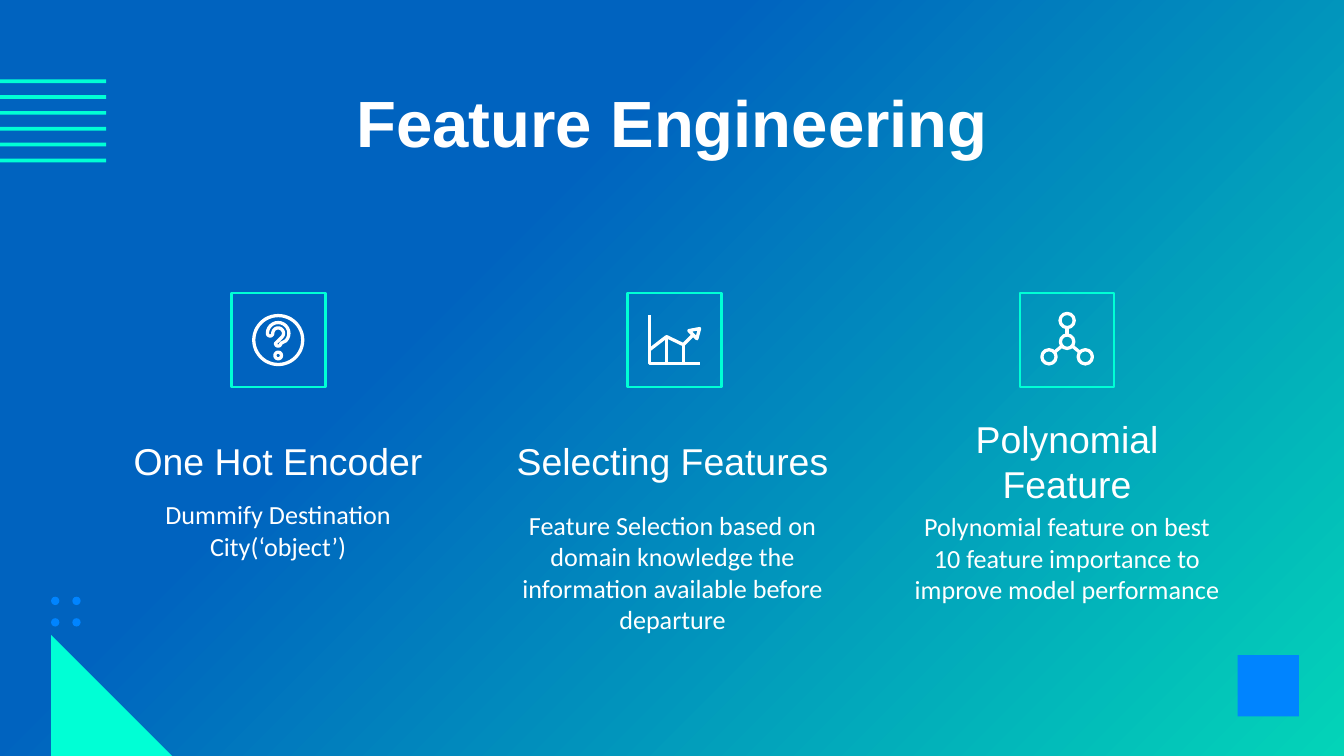
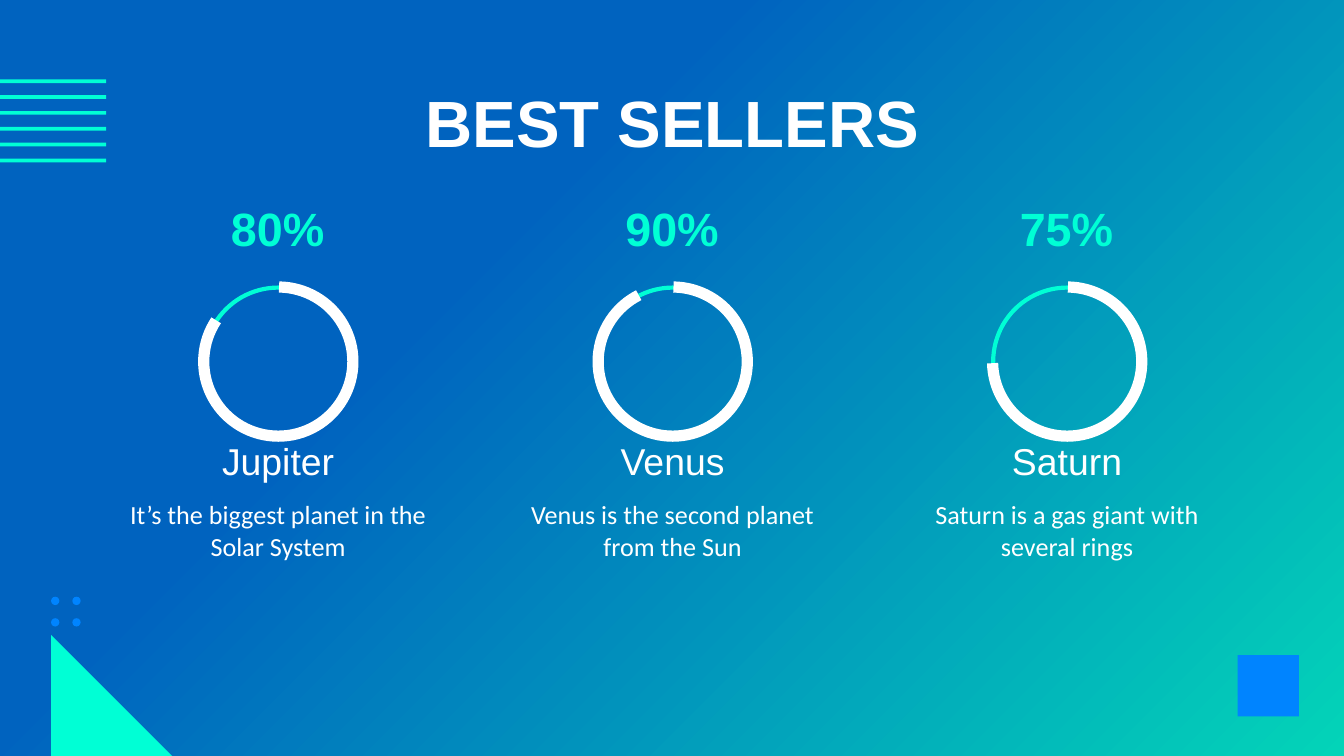
from dataclasses import dataclass
from math import cos, radians, sin
from typing import Callable

from pptx import Presentation
from pptx import util as u
from pptx.dml.color import RGBColor
from pptx.enum import shapes, text
from pptx.oxml.ns import qn
from lxml import etree

CELL = u.Inches(0.1)
COLUMNS, ROWS = 100, 56.25
COLUMN_LEFT, COLUMN_PITCH, COLUMN_WIDTH = 7.9, 29.35, 25.6
TILE_ROW, TILE_SIZE = 25.3, 7
DIAL_ROW, DIAL_SIZE = 26.9, 11
STROKE = 1.75

MINT, AZURE, WHITE = "00FFD5", "0084FF", "FFFFFF"
DEEP_BLUE, TEAL = "0063BF", "03D4B8"

Point = tuple[float, float]


@dataclass(frozen=True)
class Style:
    font: str
    size: float
    colour: str = WHITE
    bold: bool = False
    anchor: text.MSO_ANCHOR = text.MSO_ANCHOR.MIDDLE
    inset: float = 1


TITLE = Style("Arial", 35, bold=True)
HEADING = Style("Arial", 20)
BODY = Style("Calibri", 14, anchor=text.MSO_ANCHOR.TOP)
PERCENT = Style("Arial", 25, MINT, bold=True, inset=0)


@dataclass(frozen=True)
class Feature:
    heading: str
    description: str
    description_row: float
    icon: Callable
    tile_shift: float = 0


@dataclass(frozen=True)
class Planet:
    heading: str
    description: str
    percent: str
    arc_end: float


def cells(count: float) -> int:
    return round(count * CELL)


def rgb(colour: str) -> RGBColor:
    return RGBColor.from_string(colour)


def column_left(index: int) -> float:
    return COLUMN_LEFT + index * COLUMN_PITCH


def column_centre(index: int) -> float:
    return column_left(index) + COLUMN_WIDTH / 2


def paint(shape, fill: str | None = None, line: str | None = None, weight: float = STROKE):
    shape.shadow.inherit = False
    if fill:
        shape.fill.solid()
        shape.fill.fore_color.rgb = rgb(fill)
    else:
        shape.fill.background()
    if line:
        shape.line.color.rgb = rgb(line)
        shape.line.width = u.Pt(weight)
    else:
        shape.line.fill.background()
    return shape


def add_preset(slide, preset, left: float, top: float, width: float, height: float, **look):
    shape = slide.shapes.add_shape(preset, *map(cells, (left, top, width, height)))
    return paint(shape, **look)


def add_centred(slide, preset, centre: Point, size: float, **look):
    x, y = centre
    return add_preset(slide, preset, x - size / 2, y - size / 2, size, size, **look)


def add_circle(slide, x: float, y: float, radius: float) -> None:
    add_centred(slide, shapes.MSO_SHAPE.OVAL, (x, y), 2 * radius, line=WHITE)


def add_path(slide, origin: Point, points: list[Point], close: bool = False) -> None:
    placed = [(cells(origin[0] + x), cells(origin[1] + y)) for x, y in points]
    builder = slide.shapes.build_freeform(*placed[0])
    builder.add_line_segments(placed[1:], close=close)
    paint(builder.convert_to_shape(), line=WHITE)


def add_link(slide, start: Point, end: Point) -> None:
    link = slide.shapes.add_connector(
        shapes.MSO_CONNECTOR.STRAIGHT, *map(cells, (*start, *end))
    )
    link.line.color.rgb = rgb(WHITE)
    link.line.width = u.Pt(STROKE)
    etree.SubElement(link._element.spPr, qn("a:effectLst"))


def add_words(slide, words: str, style: Style, left: float, top: float,
              width: float, height: float) -> None:
    frame = slide.shapes.add_textbox(*map(cells, (left, top, width, height))).text_frame
    frame.word_wrap = True
    frame.vertical_anchor = style.anchor
    frame.margin_left = frame.margin_right = cells(style.inset)
    frame.margin_top = frame.margin_bottom = cells(style.inset)
    paragraph = frame.paragraphs[0]
    paragraph.alignment = text.PP_ALIGN.CENTER
    run = paragraph.add_run()
    run.text = words
    run.font.name = style.font
    run.font.size = u.Pt(style.size)
    run.font.bold = style.bold
    run.font.color.rgb = rgb(style.colour)


def arc_points(x: float, y: float, radius: float, start: int, end: int) -> list[Point]:
    step = 15 if end > start else -15
    return [
        (x + radius * cos(radians(angle)), y + radius * sin(radians(angle)))
        for angle in range(start, end + step, step)
    ]


def draw_question(slide, x: float, y: float) -> None:
    add_circle(slide, x, y, 1.82)
    add_circle(slide, x, y + 1.15, 0.25)
    hook = (
        arc_points(0, -0.5, 0.8, 180, 405)
        + arc_points(0, 0.25, 0.2, 0, 180)
        + arc_points(0, -0.5, 0.4, 405, 180)
        + arc_points(-0.6, -0.5, 0.2, 0, 180)
    )
    add_path(slide, (x, y), hook, close=True)


def draw_trend(slide, x: float, y: float) -> None:
    base = 1.75
    peak, dip = (-0.6, -0.25), (0.65, 0.35)
    add_path(slide, (x, y), [(-1.9, -1.85), (-1.9, base), (1.9, base)])
    add_path(slide, (x, y), [(-1.9, 0.75), peak, dip, (1.4, -0.4)])
    add_path(slide, (x, y), [(1.05, -0.7), (1.85, -0.85), (1.65, -0.1)], close=True)
    for column, top in (peak, dip):
        add_link(slide, (x + column, y + top), (x + column, y + base))


def draw_network(slide, x: float, y: float) -> None:
    hub = 0.13
    add_circle(slide, x, y + hub, 0.5)
    for across, down in ((0, -1.45), (-1.35, 1.25), (1.35, 1.25)):
        add_circle(slide, x + across, y + down, 0.53)
        reach = down - hub
        distance = (across ** 2 + reach ** 2) ** 0.5
        start, end = 0.5 / distance, 1 - 0.53 / distance
        add_link(slide, (x + across * start, y + hub + reach * start),
                 (x + across * end, y + hub + reach * end))


def start_slide(deck, title: str):
    slide = deck.slides.add_slide(deck.slide_layouts[6])
    fill = slide.background.fill
    fill.gradient()
    fill.gradient_angle = 315
    for stop, position, colour in zip(fill.gradient_stops, (0.35, 1), (DEEP_BLUE, TEAL)):
        stop.position = position
        stop.color.rgb = rgb(colour)
    preset = shapes.MSO_SHAPE
    add_preset(slide, preset.RECTANGLE, 92.1, 48.75, 4.55, 4.55, fill=AZURE)
    add_preset(slide, preset.RIGHT_TRIANGLE, 3.8, 47.25, 9, 9, fill=MINT)
    for column in range(2):
        for row in range(2):
            add_preset(slide, preset.OVAL, 3.8 + 1.58 * column, 44.4 + 1.6 * row,
                       0.62, 0.62, fill=AZURE)
    for stripe in range(6):
        add_preset(slide, preset.RECTANGLE, -17.7, 5.9 + 1.18 * stripe, 25.6, 0.28, fill=MINT)
    add_words(slide, title, TITLE, 7.9, 5.9, 84.3, 6.3)
    return slide


def add_column_words(slide, index: int, heading: str, description: str, row: float) -> None:
    left = column_left(index)
    add_words(slide, heading, HEADING, left, 31.4, COLUMN_WIDTH, 5.8)
    add_words(slide, description, BODY, left, row, COLUMN_WIDTH, 7.8)


def build_features(deck, title: str, features: list[Feature]) -> None:
    slide = start_slide(deck, title)
    for index, feature in enumerate(features):
        centre = (column_centre(index) + feature.tile_shift, TILE_ROW)
        add_centred(slide, shapes.MSO_SHAPE.RECTANGLE, centre, TILE_SIZE, line=MINT, weight=1.5)
        feature.icon(slide, *centre)
        add_column_words(slide, index, feature.heading, feature.description,
                         feature.description_row)


def build_planets(deck, title: str, planets: list[Planet]) -> None:
    slide = start_slide(deck, title)
    for index, planet in enumerate(planets):
        centre = (column_centre(index), DIAL_ROW)
        add_centred(slide, shapes.MSO_SHAPE.OVAL, centre, DIAL_SIZE, line=MINT, weight=2.25)
        gauge = add_centred(slide, shapes.MSO_SHAPE.ARC, centre, DIAL_SIZE + 0.1,
                            line=WHITE, weight=6)
        gauge.rotation = 180
        for position, degrees in enumerate((90.6, planet.arc_end)):
            gauge.adjustments[position] = degrees * 0.6
        add_column_words(slide, index, planet.heading, planet.description, 36.1)
        add_words(slide, planet.percent, PERCENT, column_left(index) + 1, 15, 23.5, 3.9)


def main() -> None:
    deck = Presentation()
    deck.slide_width = cells(COLUMNS)
    deck.slide_height = cells(ROWS)
    build_features(deck, "Feature Engineering", [
        Feature("One Hot Encoder", "Dummify Destination City(‘object’)", 36.1, draw_question),
        Feature("Selecting Features",
                "Feature Selection based on domain knowledge the information "
                "available before departure", 36.9, draw_trend, 0.15),
        Feature("Polynomial Feature",
                "Polynomial feature on best 10 feature importance to improve "
                "model performance", 37, draw_network),
    ])
    build_planets(deck, "BEST SELLERS", [
        Planet("Jupiter", "It’s the biggest planet in the Solar System", "80%", 33.56),
        Planet("Venus", "Venus is the second planet from the Sun", "90%", 62.88),
        Planet("Saturn", "Saturn is a gas giant with several rings", "75%", 358.76),
    ])
    deck.save("out.pptx")


if __name__ == "__main__":
    main()
